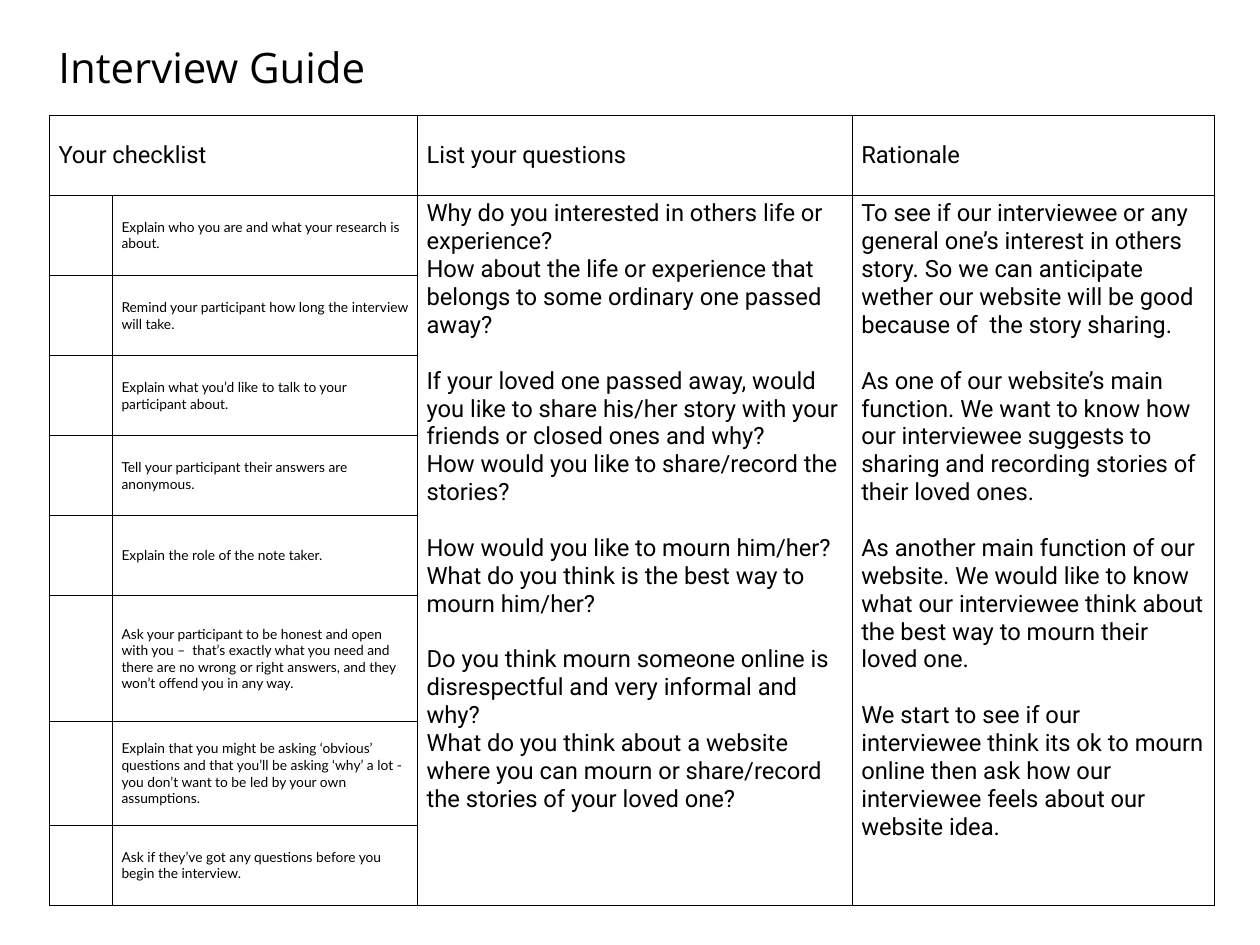
from dataclasses import dataclass

from lxml import etree
from pptx import Presentation
from pptx import util as u
from pptx.dml import color
from pptx.enum import text
from pptx.oxml import ns


@dataclass(frozen=True)
class Theme:
    """Colours, fonts and type sizes of the slide."""
    ink: str = "000000"
    title: tuple = ("Open Sans", 33.6)
    body: tuple = ("Roboto", 19)
    check: tuple = ("Lato", 11)
    group_gap: float = 22.3
    rule: float = 1


@dataclass(frozen=True)
class Box:
    """A region in inches."""
    left: float
    top: float
    width: float
    height: float

    def lengths(self):
        """Return the four lengths as slide units."""
        return [u.Inches(v) for v in (self.left, self.top, self.width, self.height)]


THEME = Theme()
COLUMNS = (0.7, 3.39, 4.83, 4.03)
ROWS = (0.89,) * 6 + (1.4, 1.15, 0.89)
HEADINGS = {0: "Your checklist", 2: "List your questions", 3: "Rationale"}
CHECKLIST = (
    "Explain who you are and what your research is about.",
    "Remind your participant how long the interview will take.",
    "Explain what you’d like to talk to your participant about.",
    "Tell your participant their answers are anonymous.",
    "Explain the role of the note taker.",
    "Ask your participant to be honest and open with you –  that’s exactly what you need "
    "and there are no wrong or right answers, and they won’t offend you in any way.",
    "Explain that you might be asking ‘obvious’ questions and that you’ll be asking ‘why’ "
    "a lot - you don’t want to be led by your own assumptions.",
    "Ask if they’ve got any questions before you begin the interview.",
)
QUESTIONS = (
    ("Why do you interested in others life or experience?",
     "How about the life or experience that belongs to some ordinary one passed away?"),
    ("If your loved one passed away, would you like to share his/her story with your "
     "friends or closed ones and why?",
     "How would you like to share/record the stories?"),
    ("How would you like to mourn him/her?",
     "What do you think is the best way to mourn him/her?"),
    ("Do you think mourn someone online is disrespectful and very informal and why?",
     "What do you think about a website where you can mourn or share/record the stories "
     "of your loved one?"),
)
RATIONALE = (
    ("To see if our interviewee or any general one’s interest in others story. So we can "
     "anticipate wether our website will be good because of  the story sharing.",),
    ("As one of our website’s main function. We want to know how our interviewee suggests "
     "to sharing and recording stories of their loved ones.",),
    ("As another main function of our website. We would like to know what our interviewee "
     "think about the best way to mourn their loved one.",),
    ("We start to see if our interviewee think its ok to mourn online then ask how our "
     "interviewee feels about our website idea.",),
)


def write(frame, groups, style):
    """Write groups of paragraphs, with a gap before each later group."""
    paragraph = None
    for group_index, group in enumerate(groups):
        for line_index, line in enumerate(group):
            paragraph = frame.add_paragraph() if paragraph else frame.paragraphs[0]
            if group_index and not line_index:
                paragraph.space_before = u.Pt(THEME.group_gap)
            run = paragraph.add_run()
            run.text = line
            run.font.name, size = style
            run.font.size = u.Pt(size)
            run.font.color.rgb = color.RGBColor.from_string(THEME.ink)


def rule_cell(cell):
    """Clear the fill of a cell and rule its four sides."""
    cell.fill.background()
    properties = cell._tc.get_or_add_tcPr()
    for index, side in enumerate("LRTB"):
        line = etree.Element(ns.qn(f"a:ln{side}"), w=str(u.Pt(THEME.rule)))
        fill = etree.SubElement(line, ns.qn("a:solidFill"))
        etree.SubElement(fill, ns.qn("a:srgbClr"), val=THEME.ink)
        properties.insert(index, line)


def fill_cell(cell, groups, style, anchor=text.MSO_ANCHOR.MIDDLE):
    """Write text in a cell at the given anchor."""
    cell.vertical_anchor = anchor
    write(cell.text_frame, groups, style)


def add_title(slide, box):
    """Place the slide title in its box."""
    frame = slide.shapes.add_textbox(*box.lengths()).text_frame
    frame.word_wrap = False
    frame.auto_size = text.MSO_AUTO_SIZE.SHAPE_TO_FIT_TEXT
    frame.margin_top = frame.margin_bottom = u.Inches(0.02)
    write(frame, [["Interview Guide"]], THEME.title)


def add_guide(slide, box):
    """Place the table of checklist, questions and rationale in its box."""
    table = slide.shapes.add_table(len(ROWS), len(COLUMNS), *box.lengths()).table
    table.first_row = table.horz_banding = False
    for column, share in zip(table.columns, COLUMNS):
        column.width = u.Inches(box.width * share / sum(COLUMNS))
    for row, share in zip(table.rows, ROWS):
        row.height = u.Inches(box.height * share / sum(ROWS))
    for cell in table.iter_cells():
        rule_cell(cell)
    table.cell(0, 0).merge(table.cell(0, 1))
    for column, heading in HEADINGS.items():
        fill_cell(table.cell(0, column), [[heading]], THEME.body)
    for row, item in enumerate(CHECKLIST, 1):
        fill_cell(table.cell(row, 1), [[item]], THEME.check)
    for column, groups in ((2, QUESTIONS), (3, RATIONALE)):
        table.cell(1, column).merge(table.cell(len(ROWS) - 1, column))
        fill_cell(table.cell(1, column), groups, THEME.body, text.MSO_ANCHOR.TOP)


def main():
    """Build the interview guide and save it."""
    presentation = Presentation()
    presentation.slide_width, presentation.slide_height = u.Inches(14), u.Inches(10.5)
    slide = presentation.slides.add_slide(presentation.slide_layouts[6])
    add_title(slide, Box(0.55, 0.44, 3.88, 0.67))
    add_guide(slide, Box(0.55, 1.28, sum(COLUMNS), sum(ROWS)))
    presentation.save("out.pptx")


main()
